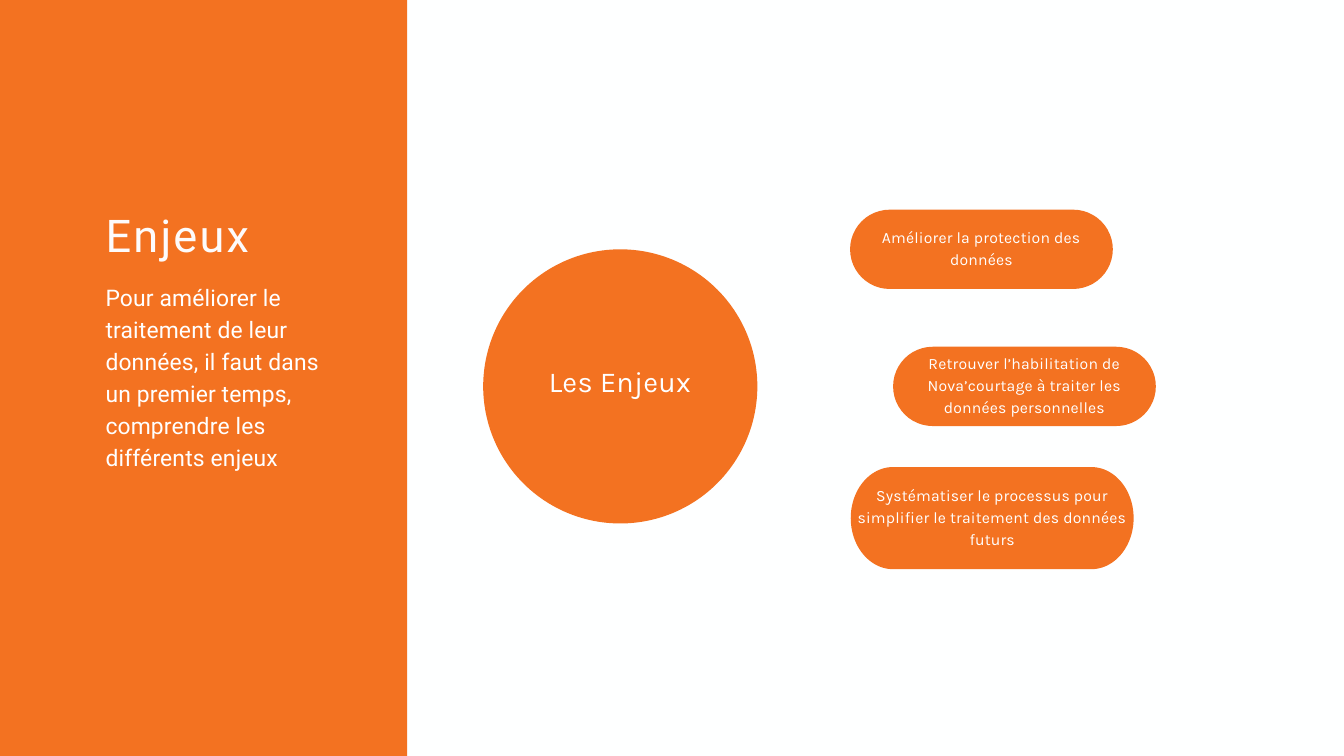
from dataclasses import dataclass
from math import cos, pi, sin

from pptx import Presentation
from pptx.dml.color import RGBColor
from pptx.enum.shapes import MSO_SHAPE
from pptx.enum.text import MSO_ANCHOR, PP_ALIGN
from pptx.util import Inches, Pt

ORANGE = RGBColor(0xF3, 0x72, 0x21)
WHITE = RGBColor(0xFF, 0xFF, 0xFF)
OFF_WHITE = RGBColor(0xFD, 0xFB, 0xFB)
BACKGROUND = RGBColor(0xFE, 0xFF, 0xFF)

# Grid of square cells, 20 columns by 11.25 rows
COLS, ROWS = 20, 11.25
CELL = Inches(1)
INSET = 0.06
LIFT = 0.08  # pill labels start this far above their pill


@dataclass(frozen=True)
class Box:
    x: float
    y: float
    w: float
    h: float

    def emu(self) -> list[int]:
        return [int(v * CELL) for v in (self.x, self.y, self.w, self.h)]


@dataclass(frozen=True)
class Style:
    font: str
    size: float
    leading: float
    spacing: float
    color: RGBColor = WHITE
    centred: bool = False


@dataclass(frozen=True)
class Pill:
    box: Box
    text: str
    corner: float  # horizontal corner radius


TITLE = Style("Roboto", 48.3, 66.7, 2.4, OFF_WHITE)
BODY = Style("Roboto", 24.5, 34.3, 0.2)
HUB = Style("Karla", 30.9, 43.3, 0.3, centred=True)
LABEL = Style("Karla", 16.9, 23.7, 0.2, centred=True)

PILLS = [
    Pill(Box(12.65, 3.12, 3.91, 1.18), "Améliorer la protection des données", 0.59),
    Pill(Box(13.29, 5.16, 3.91, 1.18),
         "Retrouver l’habilitation de Nova’courtage à traiter les données personnelles", 0.59),
    Pill(Box(12.66, 6.95, 4.21, 1.52),
         "Systématiser le processus pour simplifier le traitement des données futurs", 0.63),
]


def paint(sp) -> None:
    sp.shadow.inherit = False
    sp.fill.solid()
    sp.fill.fore_color.rgb = ORANGE
    sp.line.fill.background()


def add_block(slide, kind: MSO_SHAPE, box: Box):
    sp = slide.shapes.add_shape(kind, *box.emu())
    paint(sp)
    return sp


def add_text(slide, box: Box, text: str, style: Style) -> None:
    tf = slide.shapes.add_textbox(*box.emu()).text_frame
    tf.word_wrap = True
    inset = Inches(INSET if style.centred else 0)
    tf.margin_left = tf.margin_right = tf.margin_top = tf.margin_bottom = inset
    tf.vertical_anchor = MSO_ANCHOR.MIDDLE if style.centred else MSO_ANCHOR.TOP
    p = tf.paragraphs[0]
    p.alignment = PP_ALIGN.CENTER if style.centred else PP_ALIGN.LEFT
    p.line_spacing = Pt(style.leading)
    p.font.name = style.font
    p.font.size = Pt(style.size)
    p.font.color.rgb = style.color
    r = p.add_run()
    r.text = text
    r._r.get_or_add_rPr().set("spc", str(round(style.spacing * 100)))


def add_oval_ended(slide, box: Box, rx: float, steps: int = 48) -> None:
    """Bar whose two ends are half ellipses of horizontal radius rx."""
    ry = box.h / 2
    points = []
    for cx, start in ((box.x + box.w - rx, -pi / 2), (box.x + rx, pi / 2)):
        for i in range(steps + 1):
            a = start + pi * i / steps
            x, y = cx + rx * cos(a), box.y + ry + ry * sin(a)
            points.append((round(x * CELL), round(y * CELL)))
    fb = slide.shapes.build_freeform(*points[0])
    fb.add_line_segments(points[1:], close=True)
    paint(fb.convert_to_shape())


def add_pill(slide, pill: Pill) -> None:
    b = pill.box
    if pill.corner == b.h / 2:
        add_block(slide, MSO_SHAPE.ROUNDED_RECTANGLE, b).adjustments[0] = 0.5
    else:
        add_oval_ended(slide, b, pill.corner)
    add_text(slide, Box(b.x, b.y - LIFT, b.w, b.h + LIFT), pill.text, LABEL)


def main() -> None:
    prs = Presentation()
    prs.slide_width, prs.slide_height = int(COLS * CELL), int(ROWS * CELL)
    s = prs.slides.add_slide(prs.slide_layouts[6])
    s.background.fill.solid()
    s.background.fill.fore_color.rgb = BACKGROUND

    # Side panel
    add_block(s, MSO_SHAPE.RECTANGLE, Box(0, 0, 6.06, ROWS))

    # Central circle
    add_block(s, MSO_SHAPE.OVAL, Box(7.19, 3.71, 4.08, 4.08))
    add_text(s, Box(7.57, 3.85, 3.31, 3.55), "Les Enjeux", HUB)

    # Three issues
    for pill in PILLS:
        add_pill(s, pill)

    # Panel text
    add_text(s, Box(1.57, 4.15, 3.59, 2.79),
             "Pour améliorer le traitement de leur données, il faut dans un premier "
             "temps, comprendre les différents enjeux", BODY)
    add_text(s, Box(1.57, 2.96, 3.69, 0.88), "Enjeux", TITLE)

    prs.save("out.pptx")


if __name__ == "__main__":
    main()
